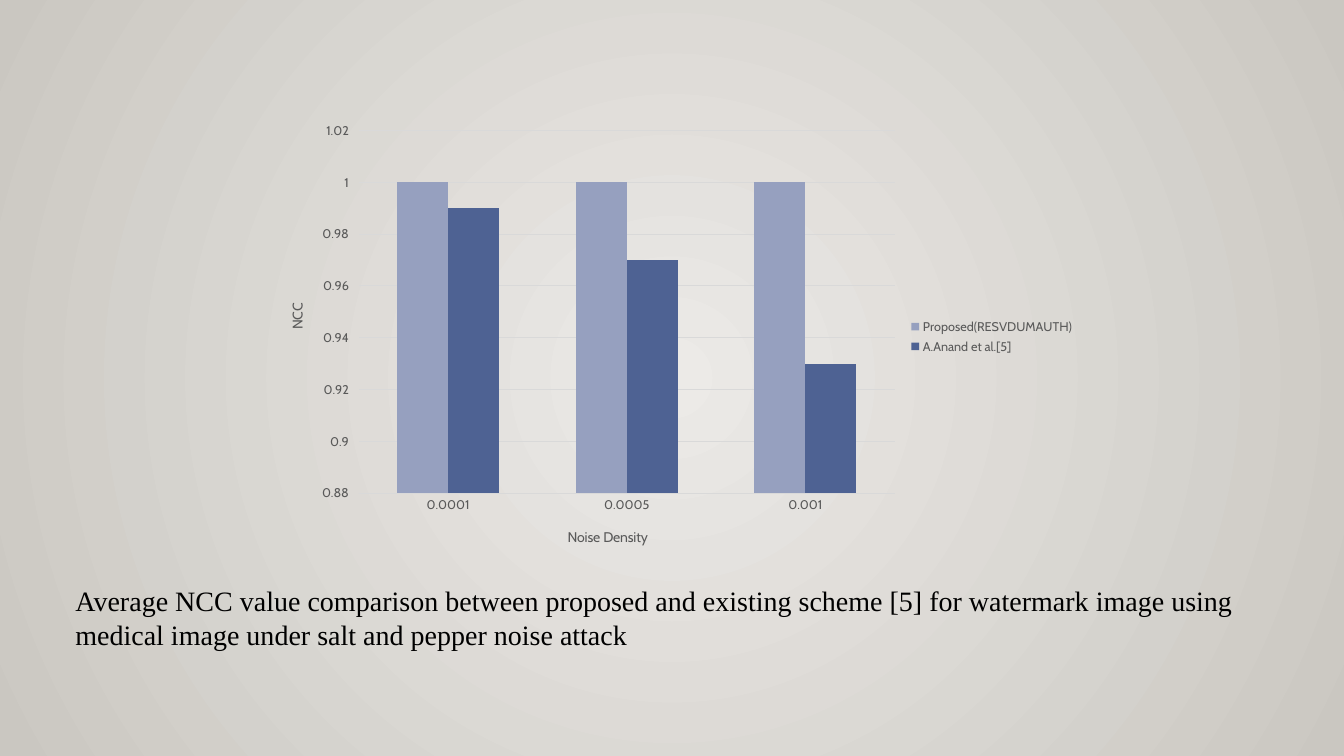
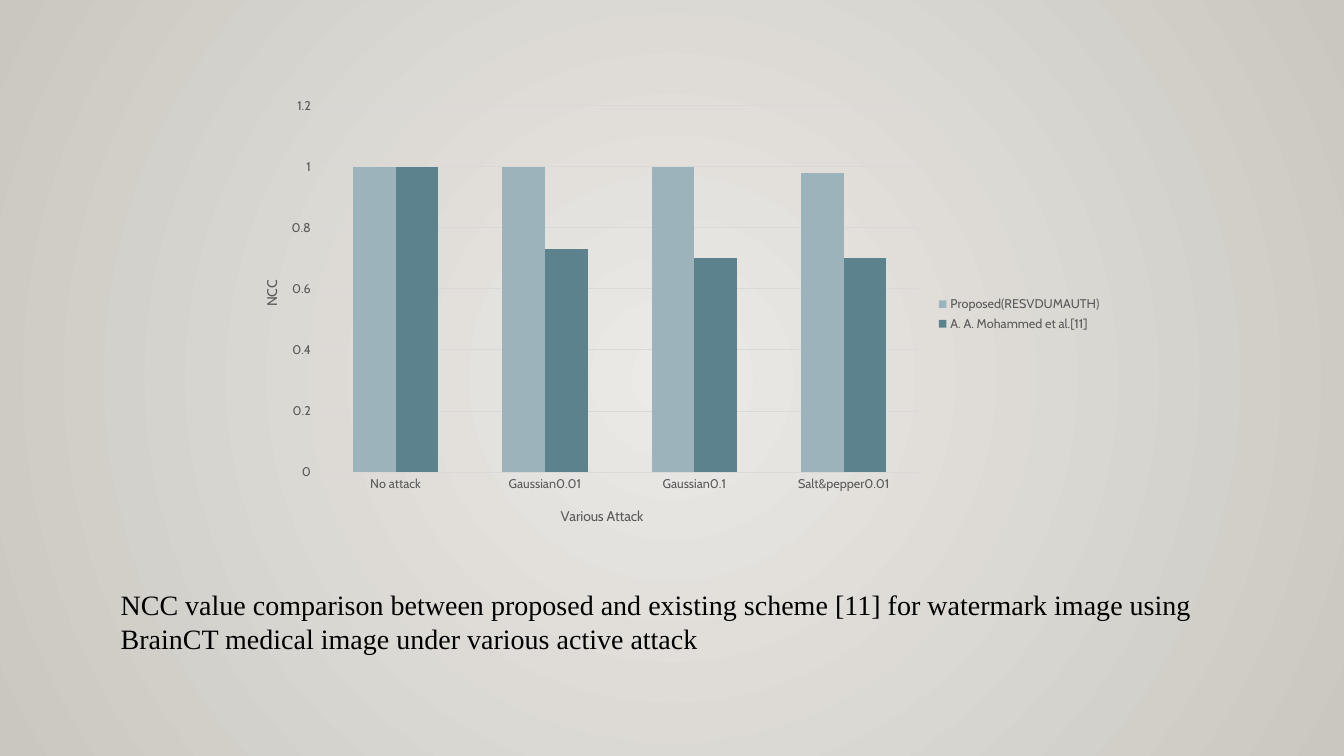
from dataclasses import dataclass

from lxml import etree
from pptx import Presentation
from pptx.chart.axis import CategoryAxis, ValueAxis
from pptx.chart.chart import Chart
from pptx.chart.data import CategoryChartData
from pptx.dml.color import RGBColor
from pptx.enum.chart import XL_CHART_TYPE, XL_LEGEND_POSITION, XL_TICK_MARK
from pptx.enum.text import MSO_AUTO_SIZE
from pptx.oxml import parse_xml
from pptx.oxml.ns import nsdecls, qn
from pptx.slide import Slide, SlideMaster
from pptx.text.text import Font
from pptx.util import Cm, Pt

COLUMNS = XL_CHART_TYPE.COLUMN_CLUSTERED
LEGEND_RIGHT = XL_LEGEND_POSITION.RIGHT
TICK_NONE = XL_TICK_MARK.NONE
TICK_OUTSIDE = XL_TICK_MARK.OUTSIDE
GROW_TO_TEXT = MSO_AUTO_SIZE.SHAPE_TO_FIT_TEXT

# Shared look
BACKGROUND = ("ECEAE7", "CAC7C1")
CHART_FONT, CAPTION_FONT = "Cabin", "Times New Roman"
BLACK, LABEL_GREY, GRID_GREY = "000000", "595959", "D9D9D9"
CATEGORY_TITLE_PLACE = (0.37, 0.92)
VALUE_TITLE_PLACE = (0.03, 0.42)


@dataclass(frozen=True)
class Box:
    """A rectangle in centimetres."""
    left: float
    top: float
    width: float
    height: float

    def lengths(self) -> tuple[Cm, Cm, Cm, Cm]:
        return Cm(self.left), Cm(self.top), Cm(self.width), Cm(self.height)


@dataclass(frozen=True)
class Series:
    name: str
    values: tuple[float, ...]
    color: str


@dataclass(frozen=True)
class ComparisonSlide:
    chart_box: Box
    plot_area: tuple[float, float, float, float]  # fractions of the chart
    category_title: str
    categories: tuple[str, ...]
    value_range: tuple[float, float, float]  # minimum, maximum, step
    series: tuple[Series, ...]
    caption_box: Box
    caption: str


SLIDES = (
    ComparisonSlide(
        chart_box=Box(6.55, 2.84, 20.78, 11.28),
        plot_area=(0.12, 0.04, 0.65, 0.81),
        category_title="Noise Density",
        categories=("0.0001", "0.0005", "0.001"),
        value_range=(0.88, 1.02, 0.02),
        series=(
            Series("Proposed(RESVDUMAUTH)", (1, 1, 1), "96A0BF"),
            Series("A.Anand et al.[5]", (0.99, 0.97, 0.93), "4E6293"),
        ),
        caption_box=Box(1.65, 14.58, 30.58, 2.74),
        caption="Average NCC value comparison between proposed and existing scheme [5] "
                "for watermark image using medical image under salt and pepper noise attack",
    ),
    ComparisonSlide(
        chart_box=Box(5.87, 2.21, 22.15, 11.4),
        plot_area=(0.1, 0.04, 0.68, 0.81),
        category_title="Various Attack",
        categories=("No attack", "Gaussian0.01", "Gaussian0.1", "Salt&pepper0.01"),
        value_range=(0, 1.2, 0.2),
        series=(
            Series("Proposed(RESVDUMAUTH)", (1, 1, 1, 0.98), "9DB3BC"),
            Series("A. A. Mohammed et al.[11]", (1, 0.73, 0.7, 0.7), "5C828E"),
        ),
        caption_box=Box(2.79, 14.68, 28.83, 2.74),
        caption="NCC value comparison between proposed and existing scheme [11] "
                "for watermark image using BrainCT medical image under various active attack",
    ),
)


def rgb(color: str) -> RGBColor:
    return RGBColor.from_string(color)


def set_font(font: Font, name: str, size: float, color: str) -> None:
    font.name, font.size, font.bold = name, Pt(size), False
    font.color.rgb = rgb(color)


def set_background(master: SlideMaster) -> None:
    """Fill the master with a gradient that runs outward from the centre."""
    fill = master.background.fill
    fill.gradient()
    for stop, color in zip(fill.gradient_stops, BACKGROUND):
        stop.color.rgb = rgb(color)
    linear = next(master.element.cSld.iter(qn("a:lin")))
    linear.getparent().replace(linear, parse_xml(
        f'<a:path {nsdecls("a")} path="circle">'
        '<a:fillToRect l="50000" t="50000" r="50000" b="50000"/></a:path>'))


def set_layout(element: etree.ElementBase, index: int, place: tuple[float, ...],
               inner: bool = False) -> None:
    """Place a chart part by fractions of the chart: x, y and perhaps w, h."""
    for layout in element.findall(qn("c:layout")):
        element.remove(layout)
    target = '<c:layoutTarget val="inner"/>' if inner else ""
    modes = "".join(f'<c:{key}Mode val="edge"/>' for key in "xy")
    sizes = "".join(f'<c:{key} val="{value}"/>' for key, value in zip("xywh", place))
    element.insert(index, parse_xml(
        f'<c:layout {nsdecls("c")}><c:manualLayout>{target}{modes}{sizes}'
        '</c:manualLayout></c:layout>'))


def style_axis(axis: CategoryAxis | ValueAxis, title: str,
               place: tuple[float, float], rotation: int) -> None:
    set_font(axis.tick_labels.font, CHART_FONT, 9, LABEL_GREY)
    text_frame = axis.axis_title.text_frame
    text_frame.text = title
    set_font(text_frame.paragraphs[0].font, CHART_FONT, 10, LABEL_GREY)
    title_element = axis.axis_title._element
    next(title_element.iter(qn("a:bodyPr"))).set("rot", str(rotation * 60000))
    set_layout(title_element, 1, place)


def style_chart(chart: Chart, content: ComparisonSlide) -> None:
    chart.has_title = False
    set_font(chart.font, CHART_FONT, 10, BLACK)
    chart.has_legend = True
    chart.legend.position = LEGEND_RIGHT
    chart.legend.include_in_layout = False
    set_font(chart.legend.font, CHART_FONT, 9, LABEL_GREY)

    # Columns
    plot = chart.plots[0]
    plot.gap_width, plot.overlap, plot.vary_by_categories = 150, 0, False
    for series, item in zip(plot.series, content.series):
        series.format.fill.solid()
        series.format.fill.fore_color.rgb = rgb(item.color)

    # Axes
    category_axis, value_axis = chart.category_axis, chart.value_axis
    style_axis(category_axis, content.category_title, CATEGORY_TITLE_PLACE, 0)
    style_axis(value_axis, "NCC", VALUE_TITLE_PLACE, -90)
    category_axis.major_tick_mark = TICK_NONE
    value_axis.major_tick_mark = TICK_OUTSIDE
    value_axis.has_major_gridlines = True
    for line in (category_axis.format.line, value_axis.major_gridlines.format.line):
        line.color.rgb = rgb(GRID_GREY)
        line.width = Pt(0.75)
    value_axis.format.line.fill.background()
    (value_axis.minimum_scale, value_axis.maximum_scale,
     value_axis.major_unit) = content.value_range
    value_axis.tick_labels.number_format = "General"
    value_axis.tick_labels.number_format_is_linked = False

    plot_area = next(chart._chartSpace.iter(qn("c:plotArea")))
    set_layout(plot_area, 0, content.plot_area, inner=True)


def add_comparison_chart(slide: Slide, content: ComparisonSlide) -> None:
    data = CategoryChartData()
    data.categories = content.categories
    for item in content.series:
        data.add_series(item.name, item.values)
    frame = slide.shapes.add_chart(COLUMNS, *content.chart_box.lengths(), data)
    style_chart(frame.chart, content)


def add_caption(slide: Slide, content: ComparisonSlide) -> None:
    text_frame = slide.shapes.add_textbox(*content.caption_box.lengths()).text_frame
    text_frame.word_wrap = True
    text_frame.auto_size = GROW_TO_TEXT
    text_frame.text = content.caption
    set_font(text_frame.paragraphs[0].font, CAPTION_FONT, 20, BLACK)


def main() -> None:
    presentation = Presentation()
    presentation.slide_width, presentation.slide_height = Cm(33.87), Cm(19.05)
    set_background(presentation.slide_master)
    blank_layout = presentation.slide_layouts[6]
    for content in SLIDES:
        slide = presentation.slides.add_slide(blank_layout)
        add_comparison_chart(slide, content)
        add_caption(slide, content)
    presentation.save("out.pptx")


if __name__ == "__main__":
    main()
